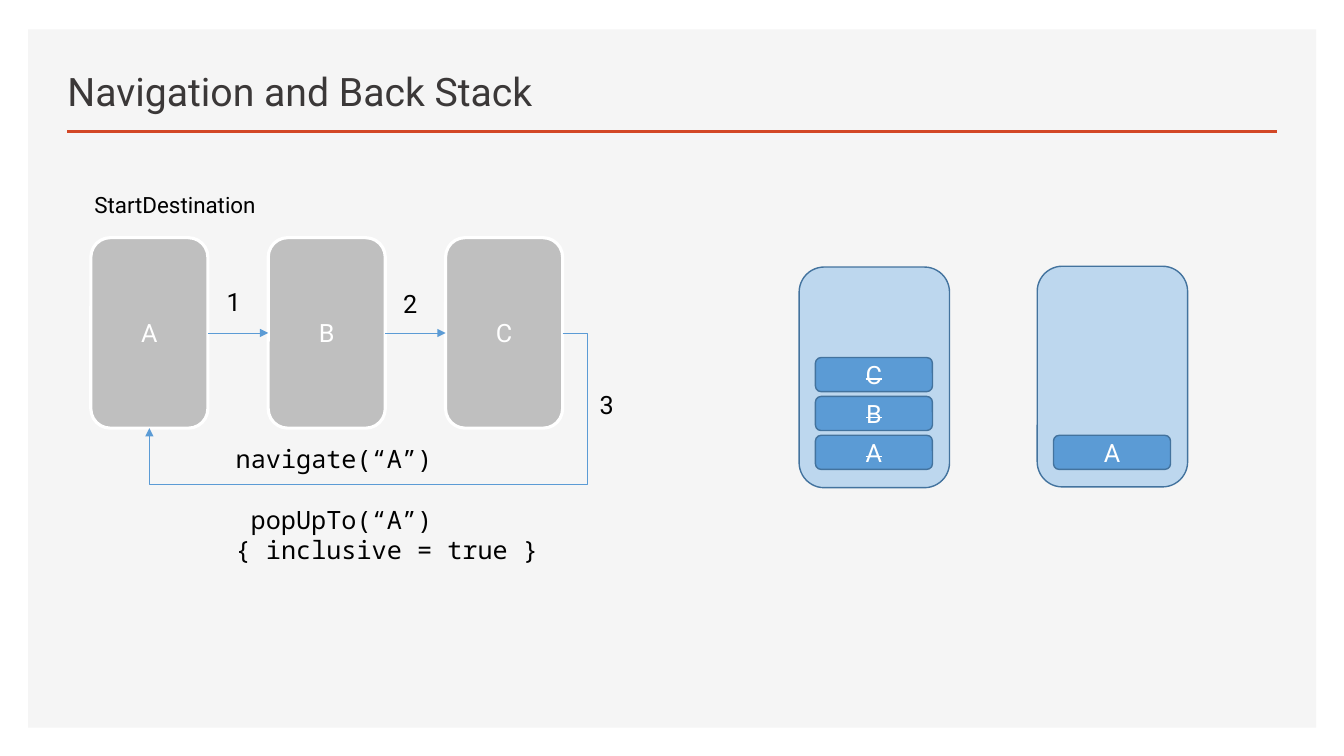
from lxml import etree
from pptx import Presentation
from pptx.dml.color import RGBColor
from pptx.enum.shapes import MSO_CONNECTOR, MSO_SHAPE
from pptx.enum.text import MSO_ANCHOR, PP_ALIGN
from pptx.oxml.ns import qn
from pptx.util import Cm, Pt

STRAIGHT, ELBOW = MSO_CONNECTOR.STRAIGHT, MSO_CONNECTOR.ELBOW
RECT, ROUNDED = MSO_SHAPE.RECTANGLE, MSO_SHAPE.ROUNDED_RECTANGLE
TOP, MIDDLE, BOTTOM = MSO_ANCHOR.TOP, MSO_ANCHOR.MIDDLE, MSO_ANCHOR.BOTTOM
LEFT, CENTER = PP_ALIGN.LEFT, PP_ALIGN.CENTER
LEFT_SIDE, BOTTOM_SIDE, RIGHT_SIDE = 1, 2, 3

WHITE, BLACK, BLUE, DARK_BLUE = "FFFFFF", "000000", "5B9BD5", "43739E"
SANS, MONO = "Roboto", "Noto Sans Mono"

# Lengths are centimetres: left, top, width, height
TITLE = ("Navigation and Back Stack", (1.45, 1.24, 19.1, 1.78))
START_LABEL = ("StartDestination", (2.13, 4.7, 5.59, 0.94))
STEP_LABELS = [("1", 5.46, 7.09), ("2", 9.91, 7.14), ("3", 14.86, 9.68)]
CODE = (["navigate(“A”)", "popUpTo(“A”)\v{ inclusive = true }"],
        (5.69, 11.05, 9.32, 2.57))

SCREENS = ["A", "B", "C"]
SCREEN_LEFT, SCREEN_TOP, SCREEN_STEP = 2.29, 5.99, 4.47
SCREEN_SIZE = (2.95, 4.8)
RETURN_BENDS = {"adj1": -6100, "adj2": 159200}

# Left, top, entries from the bottom up, struck out
STACKS = [(20.14, 6.73, ["A", "B", "C"], True), (26.14, 6.71, ["A"], False)]
STACK_SIZE = (3.79, 5.56)
ENTRY_SIZE = (2.95, 0.86)
ENTRY_INSET, ENTRY_BOTTOM, ENTRY_STEP = 0.41, 10.97, 0.98


def color(value):
    return RGBColor.from_string(value)


def write(box, paragraphs, size=18, font=SANS, ink=BLACK, align=LEFT,
          anchor=TOP, strike=False):
    frame = box.text_frame
    frame.word_wrap = True
    frame.vertical_anchor = anchor
    frame.text = "\n".join(paragraphs)
    for para in frame.paragraphs:
        para.alignment = align
        for span in para.runs:
            for name, value in {"size": Pt(size), "name": font}.items():
                setattr(span.font, name, value)
            span.font.color.rgb = color(ink)
            if strike:
                span.font._element.set("strike", "sngStrike")
    return frame


def add_label(page, text, place, **style):
    box = page.shapes.add_textbox(*map(Cm, place))
    return write(box, text if isinstance(text, list) else [text], **style)


def add_box(shapes, kind, place, fill, line=None, width=1):
    box = shapes.add_shape(kind, *map(Cm, place))
    box.shadow.inherit = False
    box.fill.solid()
    box.fill.fore_color.rgb = color(fill)
    if line:
        box.line.color.rgb = color(line)
        box.line.width = Pt(width)
    else:
        box.line.fill.background()
    return box


def add_line(page, kind, ends, ink, width):
    line = page.shapes.add_connector(kind, *map(Cm, ends))
    line.line.color.rgb = color(ink)
    line.line.width = Pt(width)
    etree.SubElement(line._element.spPr, qn("a:effectLst"))
    return line


def add_arrow(page, kind, start, start_side, end, end_side):
    arrow = add_line(page, kind, (0, 0, 0, 0), BLUE, 0.5)
    arrow.begin_connect(start, start_side)
    arrow.end_connect(end, end_side)
    outline = arrow.line._get_or_add_ln()
    etree.SubElement(outline, qn("a:tailEnd"), type="triangle")
    return arrow


def add_screens(page):
    screens = []
    for index, name in enumerate(SCREENS):
        place = (SCREEN_LEFT + index * SCREEN_STEP, SCREEN_TOP, *SCREEN_SIZE)
        screen = add_box(page.shapes, ROUNDED, place, "BFBFBF", WHITE, 2.25)
        write(screen, [name], ink=WHITE, align=CENTER, anchor=MIDDLE)
        screens.append(screen)
    for start, end in zip(screens, screens[1:]):
        add_arrow(page, STRAIGHT, start, RIGHT_SIDE, end, LEFT_SIDE)

    back = add_arrow(page, ELBOW, screens[-1], RIGHT_SIDE,
                     screens[0], BOTTOM_SIDE)
    geometry = back._element.spPr.find(qn("a:prstGeom"))
    geometry.set("prst", "bentConnector4")
    guides = geometry.find(qn("a:avLst"))
    for name, value in RETURN_BENDS.items():
        etree.SubElement(guides, qn("a:gd"), name=name, fmla=f"val {value}")


def add_stack(page, left, top, entries, struck):
    add_box(page.shapes, ROUNDED, (left, top, *STACK_SIZE), "BDD7EE", DARK_BLUE)
    shapes = page.shapes
    if len(entries) > 1:
        shapes = page.shapes.add_group_shape().shapes
    for index, name in enumerate(entries):
        place = (left + ENTRY_INSET, ENTRY_BOTTOM - index * ENTRY_STEP,
                 *ENTRY_SIZE)
        entry = add_box(shapes, ROUNDED, place, BLUE, DARK_BLUE)
        write(entry, [name], ink=WHITE, align=CENTER, anchor=MIDDLE,
              strike=struck)


def main():
    deck = Presentation()
    deck.slide_width, deck.slide_height = Cm(33.87), Cm(19.05)
    page = deck.slides.add_slide(deck.slide_layouts[6])

    add_box(page.shapes, RECT, (0.71, 0.74, 32.46, 17.6), "F5F5F5")
    add_line(page, STRAIGHT, (1.69, 3.32, 32.18, 3.32), "D24726", 2)
    add_label(page, *TITLE, size=28, ink="3B3838", anchor=BOTTOM)

    add_screens(page)
    code = add_label(page, *CODE, font=MONO)
    options = code.paragraphs[1]
    options.space_before = Pt(22)
    options._p.get_or_add_pPr().set("indent", str(Cm(0.38)))
    add_label(page, *START_LABEL, size=16)
    for text, left, top in STEP_LABELS:
        add_label(page, text, (left, top, 0.89, 1.02))

    for stack in STACKS:
        add_stack(page, *stack)
    deck.save("out.pptx")


if __name__ == "__main__":
    main()
